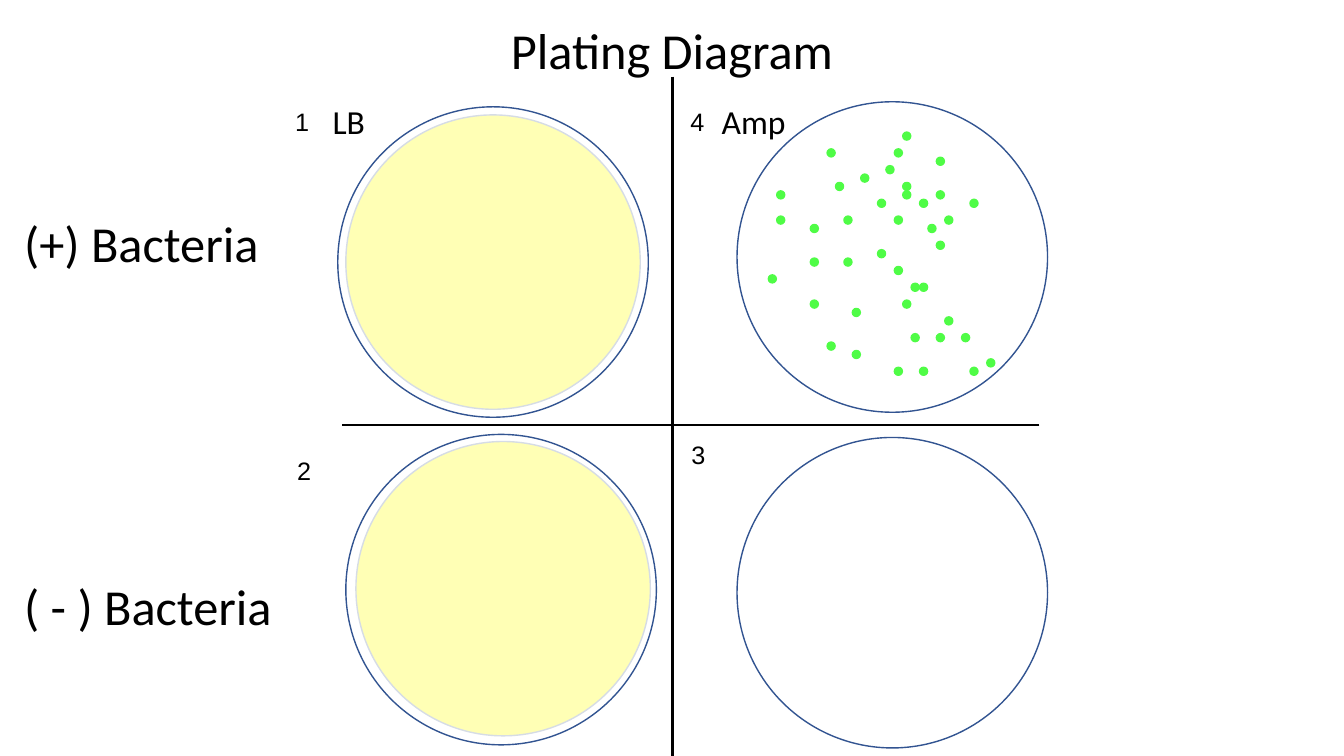
"""Build the plating diagram slide."""
import lxml.etree
import pptx
import pptx.dml.color
import pptx.enum.shapes
import pptx.enum.text
import pptx.oxml.ns
import pptx.util

Inches = pptx.util.Inches

COLORS = {
    "text": "000000",
    "plate": "FFFFFF",
    "plate_edge": "325491",
    "agar": "FFFF00",
    "agar_edge": "D6DCE5",
    "colony": "4FFC46",
}
PLATE_SIZE = 3.08
AGAR_SIZE = 2.92
COLONY_SIZE = 0.08
COLONY_STEP = 1 / 12
COLONY_COLUMNS = {
    0: [16], 2: [7, 15], 3: [20], 4: [14], 5: [11], 6: [8, 16],
    7: [1, 16, 20], 8: [13, 18, 24], 10: [1, 9, 15, 21], 11: [5, 19],
    13: [20], 14: [13], 15: [5, 9], 16: [15], 17: [0], 18: [17, 18],
    20: [5, 16], 21: [10], 22: [21], 24: [17, 20, 23], 25: [7],
    26: [10], 27: [26], 28: [15, 18, 24],
}


def rgb(name):
    """Return the named colour."""
    return pptx.dml.color.RGBColor.from_string(COLORS[name])


def add_text(slide, text, box, size, font="Calibri", centered=False):
    """Add one line of text in a left, top, width, height box."""
    shape = slide.shapes.add_textbox(*map(Inches, box))
    shape.text_frame.word_wrap = True
    paragraph = shape.text_frame.paragraphs[0]
    paragraph.text = text
    paragraph.font.size = pptx.util.Pt(size)
    paragraph.font.name = font
    paragraph.font.color.rgb = rgb("text")
    if centered:
        paragraph.alignment = pptx.enum.text.PP_ALIGN.CENTER


def add_circle(slide, left, top, size, fill, edge, opacity=100):
    """Add a filled circle, see-through when opacity is below 100 percent."""
    shape = slide.shapes.add_shape(
        pptx.enum.shapes.MSO_SHAPE.OVAL,
        Inches(left), Inches(top), Inches(size), Inches(size))
    shape.shadow.inherit = False
    shape.fill.solid()
    shape.fill.fore_color.rgb = rgb(fill)
    shape.line.color.rgb = rgb(edge)
    shape.line.width = pptx.util.Pt(1)
    if opacity < 100:
        color = shape._element.spPr.find(".//" + pptx.oxml.ns.qn("a:srgbClr"))
        alpha = lxml.etree.SubElement(color, pptx.oxml.ns.qn("a:alpha"))
        alpha.set("val", str(opacity * 1000))


def add_divider(slide, start, end):
    """Add a straight black line between two points."""
    connector = slide.shapes.add_connector(
        pptx.enum.shapes.MSO_CONNECTOR.STRAIGHT, *map(Inches, start + end))
    connector.line.color.rgb = rgb("text")
    connector.line.width = pptx.util.Pt(1.5)
    lxml.etree.SubElement(
        connector._element.spPr, pptx.oxml.ns.qn("a:effectLst"))


def add_plate(slide, left, top):
    """Add an empty plate."""
    add_circle(slide, left, top, PLATE_SIZE, "plate", "plate_edge")


def add_agar(slide, left, top):
    """Add a translucent layer of growth."""
    add_circle(slide, left, top, AGAR_SIZE, "agar", "agar_edge", 29)


def add_colonies(slide, plate_left, plate_top):
    """Scatter colonies on a fine grid inside a plate."""
    for row, columns in COLONY_COLUMNS.items():
        for column in columns:
            add_circle(slide, plate_left + 0.31 + column * COLONY_STEP,
                       plate_top + 0.3 + row * COLONY_STEP,
                       COLONY_SIZE, "colony", "colony")


def add_labels(slide):
    """Add the title, row names, plate numbers and medium names."""
    add_text(slide, "Plating Diagram", (0, 0.14, 13.33, 0.71), 36, centered=True)
    for text, top in (("(+) Bacteria", 2.06), ("( - ) Bacteria", 5.66)):
        add_text(slide, text, (0.14, top, 2.77, 0.71), 36)
    for number, left, top in (("1", 2.83, 1.01), ("2", 2.85, 4.47),
                              ("3", 6.76, 4.31), ("4", 6.75, 1.01)):
        add_text(slide, number, (left, top, 0.5, 0.4), 18, "Arial")
    for medium, left in (("LB", 3.2), ("Amp", 7.06)):
        add_text(slide, medium, (left, 0.95, 1, 0.5), 24)


def build_slide(presentation):
    """Lay out the four plates, their dividers and labels."""
    slide = presentation.slides.add_slide(presentation.slide_layouts[6])
    for left, top in ((3.35, 1.06), (7.31, 4.34), (7.31, 1.01), (3.43, 4.31)):
        add_plate(slide, left, top)
    add_divider(slide, (10.31, 4.22), (3.39, 4.22))
    add_labels(slide)
    for left, top in ((3.43, 1.14), (3.53, 4.38)):
        add_agar(slide, left, top)
    add_colonies(slide, 7.31, 1.01)
    add_divider(slide, (6.67, 0.76), (6.67, 7.5))


def main():
    """Create and save the presentation."""
    presentation = pptx.Presentation()
    presentation.slide_width = Inches(13.33)
    presentation.slide_height = Inches(7.5)
    build_slide(presentation)
    presentation.save("out.pptx")


if __name__ == "__main__":
    main()
